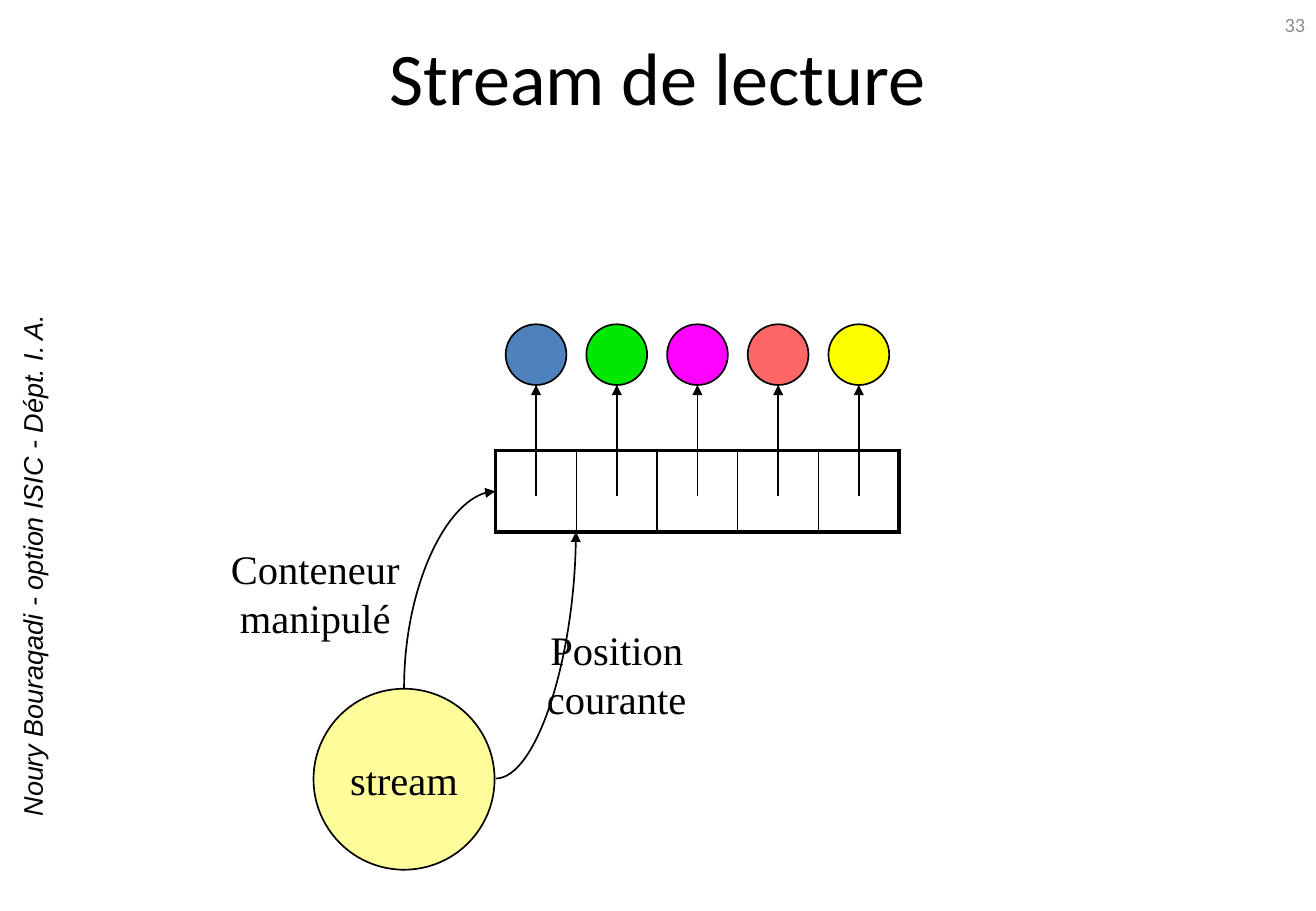
from lxml import etree
from pptx import Presentation
from pptx import util as u
from pptx.dml.color import RGBColor
from pptx.enum import shapes, text
from pptx.oxml import ns

BLACK = "000000"
SERIF = {"name": "Times New Roman", "size": u.Pt(24)}


def write(frame, words, font, color=BLACK, align=text.PP_ALIGN.CENTER,
          anchor=text.MSO_ANCHOR.MIDDLE, wrap=False):
    """Fill a text frame and format every paragraph in it."""
    frame.text = words
    frame.word_wrap = wrap
    frame.vertical_anchor = anchor
    for para in frame.paragraphs:
        para.alignment = align
        for span in para.runs:
            for name, value in font.items():
                setattr(span.font, name, value)
            span.font.color.rgb = RGBColor.from_string(color)


def outline(item, fill=None):
    """Give a filled shape a thin black line, or make a connector an arrow."""
    item.line.color.rgb = RGBColor.from_string(BLACK)
    item.line.width = u.Pt(1)
    if fill:
        item.shadow.inherit = False
        item.fill.solid()
        item.fill.fore_color.rgb = RGBColor.from_string(fill)
    else:
        properties = item._element.spPr
        etree.SubElement(properties.find(ns.qn("a:ln")), ns.qn("a:tailEnd"), type="triangle")
        etree.SubElement(properties, ns.qn("a:effectLst"))


deck = Presentation()
deck.slide_width, deck.slide_height = u.Inches(10.83), u.Inches(7.5)
page = deck.slides.add_slide(deck.slide_layouts[5])

# Title
title = page.shapes.title
title.left, title.top = u.Inches(0), u.Inches(0)
title.width, title.height = u.Inches(10.83), u.Inches(1.25)
write(title.text_frame, "Stream de lecture", {"name": "Calibri", "size": u.Pt(44)}, wrap=True)

# Author line up the left edge, and page number
author = page.shapes.add_textbox(*map(u.Inches, (-1.91, 4.47, 4.35, 0.37)))
author.rotation = 270
write(author.text_frame, "Noury Bouraqadi - option ISIC - Dépt. I. A.",
      {"name": "Arial", "size": u.Pt(16), "italic": True})
number = page.shapes.add_textbox(*map(u.Inches, (8.31, 0, 2.53, 0.4)))
write(number.text_frame, "33", {"name": "Calibri", "size": u.Pt(12)}, "8C8C8C",
      text.PP_ALIGN.RIGHT, wrap=True)

# Container: one row of cells, thick outside and thin inside
colors = ["4F81BD", "00E800", "FF00FF", "FF6666", "FFFF00"]
left, top, width, height = 4.08, 3.71, 3.32, 0.67
cell_width = width / len(colors)
table = page.shapes.add_table(1, len(colors), *map(u.Inches, (left, top, width, height))).table
table.first_row = table.horz_banding = False
for index, cell in enumerate(table.iter_cells()):
    table.columns[index].width = u.Inches(cell_width)
    borders = {"lnL": 2.25 if index == 0 else 1,
               "lnR": 2.25 if index == len(colors) - 1 else 1,
               "lnT": 2.25, "lnB": 2.25}
    properties = cell._tc.get_or_add_tcPr()
    for side, points in borders.items():
        border = etree.SubElement(properties, ns.qn("a:" + side), w=str(u.Pt(points)))
        paint = etree.SubElement(border, ns.qn("a:solidFill"))
        etree.SubElement(paint, ns.qn("a:srgbClr"), val=BLACK)
    cell.fill.background()

# Stream and its two curved references
stream = page.shapes.add_shape(shapes.MSO_SHAPE.OVAL, *map(u.Inches, (2.58, 5.67, 1.49, 1.49)))
outline(stream, "FFFD9A")
write(stream.text_frame, "stream", SERIF)
for ends, turn in [((2.89, 4.48, 4.51, 5.23), 270), ((4.08, 6.41, 4.74, 4.38), 0)]:
    curve = page.shapes.add_connector(shapes.MSO_CONNECTOR.CURVE, *map(u.Inches, ends))
    curve.rotation = turn
    curve._element.spPr.find(ns.qn("a:prstGeom")).set("prst", "curvedConnector2")
    outline(curve)

# Reference labels
for words, place in [("Position\ncourante", (4.4, 5.1, 1.35, 0.9)),
                     ("Conteneur\nmanipulé", (1.8, 4.43, 1.59, 0.9))]:
    label = page.shapes.add_textbox(*map(u.Inches, place))
    write(label.text_frame, words, SERIF, anchor=text.MSO_ANCHOR.TOP)

# Elements, each centred above its cell
ball_top, ball_size = 2.67, 0.5
for index, color in enumerate(colors):
    center = left + (index + 0.5) * cell_width
    element = page.shapes.add_group_shape().shapes
    ball = element.add_shape(shapes.MSO_SHAPE.OVAL, u.Inches(center - ball_size / 2),
                             u.Inches(ball_top), u.Inches(ball_size), u.Inches(ball_size))
    outline(ball, color)
    arrow = element.add_connector(shapes.MSO_CONNECTOR.STRAIGHT, u.Inches(center), u.Inches(4.08),
                                  u.Inches(center), u.Inches(ball_top + ball_size))
    outline(arrow)

deck.save("out.pptx")
